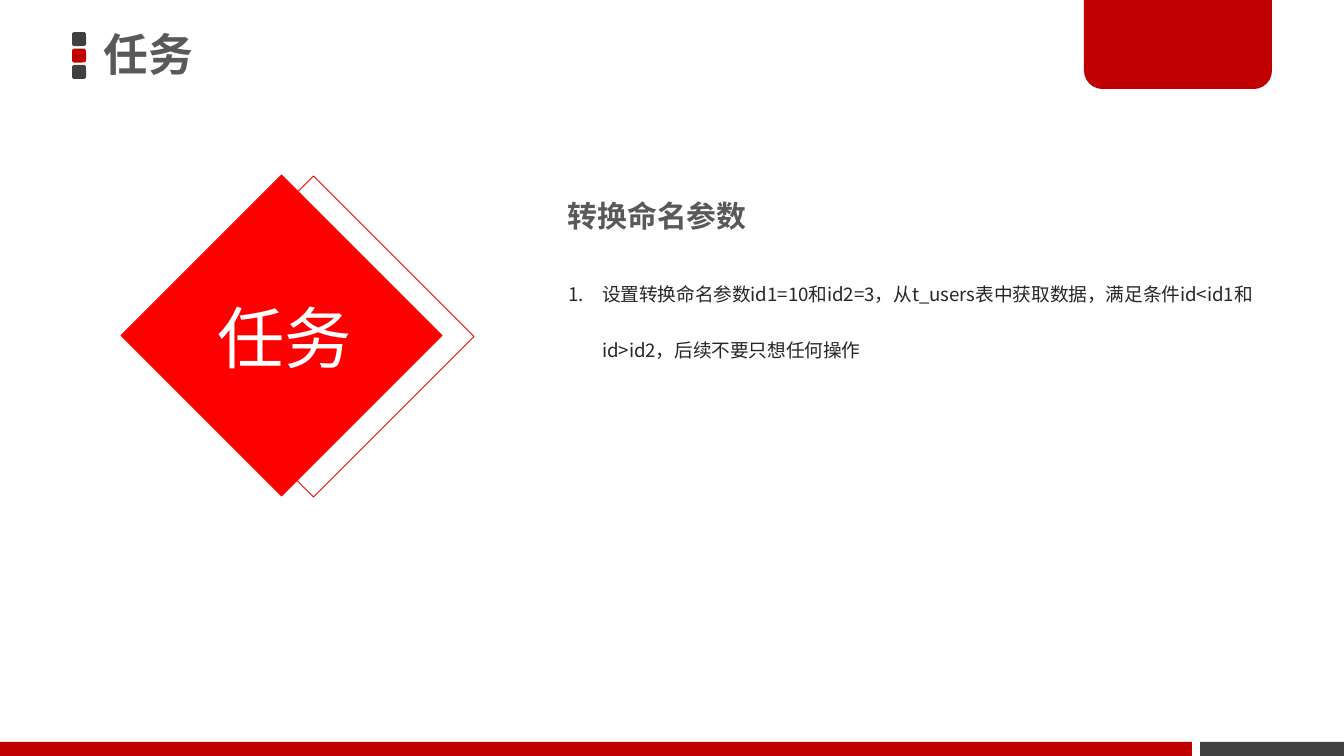
from lxml import etree
from pptx import Presentation
from pptx import util as u
from pptx.dml.color import RGBColor
from pptx.enum import shapes, text
from pptx.oxml.ns import qn

FONT = "Noto Sans CJK SC"
RED, DEEP_RED, DARK, GREY, INK = "FF0000", "C00000", "404040", "595959", "262626"
SHAPE = shapes.MSO_SHAPE


def px(length):
    return u.Emu(round(length * 914400 / 134.4))


def color(value):
    return RGBColor.from_string(value)


def add_shape(page, kind, box, fill=None, line=None, rotation=0, radius=None):
    shape = page.shapes.add_shape(kind, *map(px, box))
    shape.shadow.inherit = False
    shape.rotation = rotation
    if radius is not None:
        shape.adjustments[0] = radius
    if fill:
        shape.fill.solid()
        shape.fill.fore_color.rgb = color(fill)
    else:
        shape.fill.background()
    if line:
        shape.line.color.rgb = color(line)
        shape.line.width = u.Pt(0.5)
    else:
        shape.line.fill.background()
    return shape


def add_text(page, content, box, size, ink, bold=False, align=text.PP_ALIGN.LEFT,
             anchor=text.MSO_ANCHOR.TOP, spacing=1.0, inset=(13, 7)):
    frame = page.shapes.add_textbox(*map(px, box)).text_frame
    frame.word_wrap = True
    frame.vertical_anchor = anchor
    frame.margin_left = frame.margin_right = px(inset[0])
    frame.margin_top = frame.margin_bottom = px(inset[1])
    para = frame.paragraphs[0]
    para.alignment = align
    para.line_spacing = spacing
    span = para.add_run()
    span.text = content
    span.font.size = u.Pt(size)
    span.font.bold = bold
    span.font.color.rgb = color(ink)
    span.font.name = FONT
    etree.SubElement(span.font._element, qn("a:ea"), typeface=FONT)
    return para


def number_paragraph(para, indent, ink):
    properties = para._p.get_or_add_pPr()
    properties.set("marL", str(px(indent)))
    properties.set("indent", str(-px(indent)))
    bullet_color = etree.SubElement(properties, qn("a:buClr"))
    etree.SubElement(bullet_color, qn("a:srgbClr"), val=ink)
    etree.SubElement(properties, qn("a:buFont"), typeface="+mj-lt")
    etree.SubElement(properties, qn("a:buAutoNum"), type="arabicPeriod")


def draw_header(page, left, top, width):
    for index, fill in enumerate((DARK, DEEP_RED, DARK)):
        add_shape(page, SHAPE.ROUNDED_RECTANGLE,
                  (left + 72, top + 32 + 16.5 * index, 14, 14), fill, radius=0.17)
    add_shape(page, SHAPE.ROUND_2_SAME_RECTANGLE,
              (left + width - 260, top - 3, 188, 92), DEEP_RED, rotation=180, radius=0.2)
    add_text(page, "任务", (left + 93, top - 3, 579, 120), 24, GREY, bold=True,
             anchor=text.MSO_ANCHOR.MIDDLE, spacing=0.9, inset=(11, 5))


def draw_footer(page, left, top, width, height):
    dark_width, gap = 144, 8
    add_shape(page, SHAPE.RECTANGLE, (left, top, width - dark_width - gap, height), DEEP_RED)
    add_shape(page, SHAPE.RECTANGLE,
              (left + width - dark_width, top, dark_width, height), DARK)


def draw_emblem(page, left, top, side):
    add_shape(page, SHAPE.RECTANGLE, (left + 32, top + 1, side, side), line=RED, rotation=45)
    add_shape(page, SHAPE.RECTANGLE, (left, top, side, side), RED, RED, rotation=45)
    add_text(page, "任务", (left - 165, top + 60, 563, 120), 36, "FFFFFF",
             align=text.PP_ALIGN.CENTER, anchor=text.MSO_ANCHOR.MIDDLE,
             spacing=0.9, inset=(11, 5))


def draw_task(page, left, top, width):
    add_text(page, "转换命名参数", (left, top, 519, 50), 16, GREY, bold=True)
    para = add_text(
        page,
        "设置转换命名参数id1=10和id2=3，从t_users表中获取数据，满足条件id<id1和id>id2，后续不要只想任何操作",
        (left, top + 51, width, 126), 10, INK, spacing=2.5)
    number_paragraph(para, 34, INK)


def main():
    deck = Presentation()
    deck.slide_width, deck.slide_height = px(1344), px(756)
    page = deck.slides.add_slide(deck.slide_layouts[6])
    draw_header(page, 0, 0, 1344)
    draw_footer(page, 0, 742, 1344, 14)
    draw_emblem(page, 168, 222, 227)
    draw_task(page, 555, 191, 751)
    deck.save("out.pptx")


if __name__ == "__main__":
    main()
